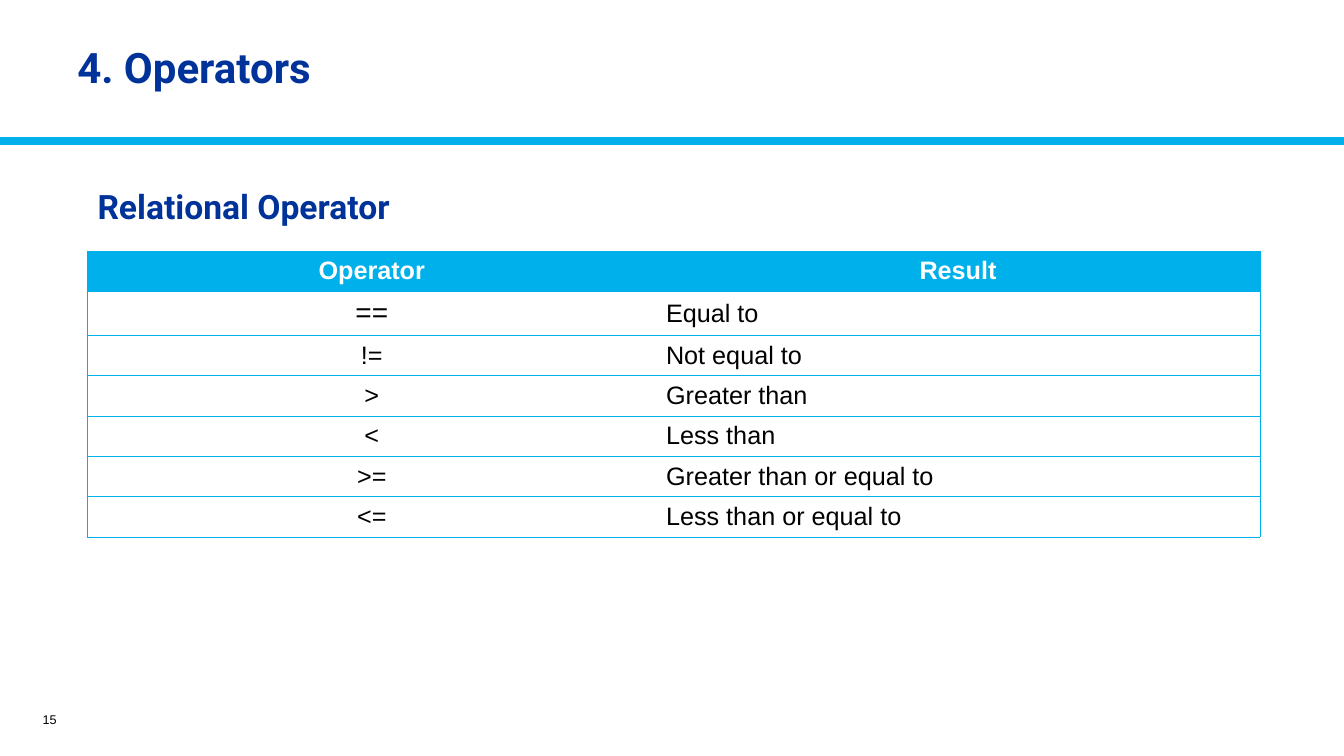
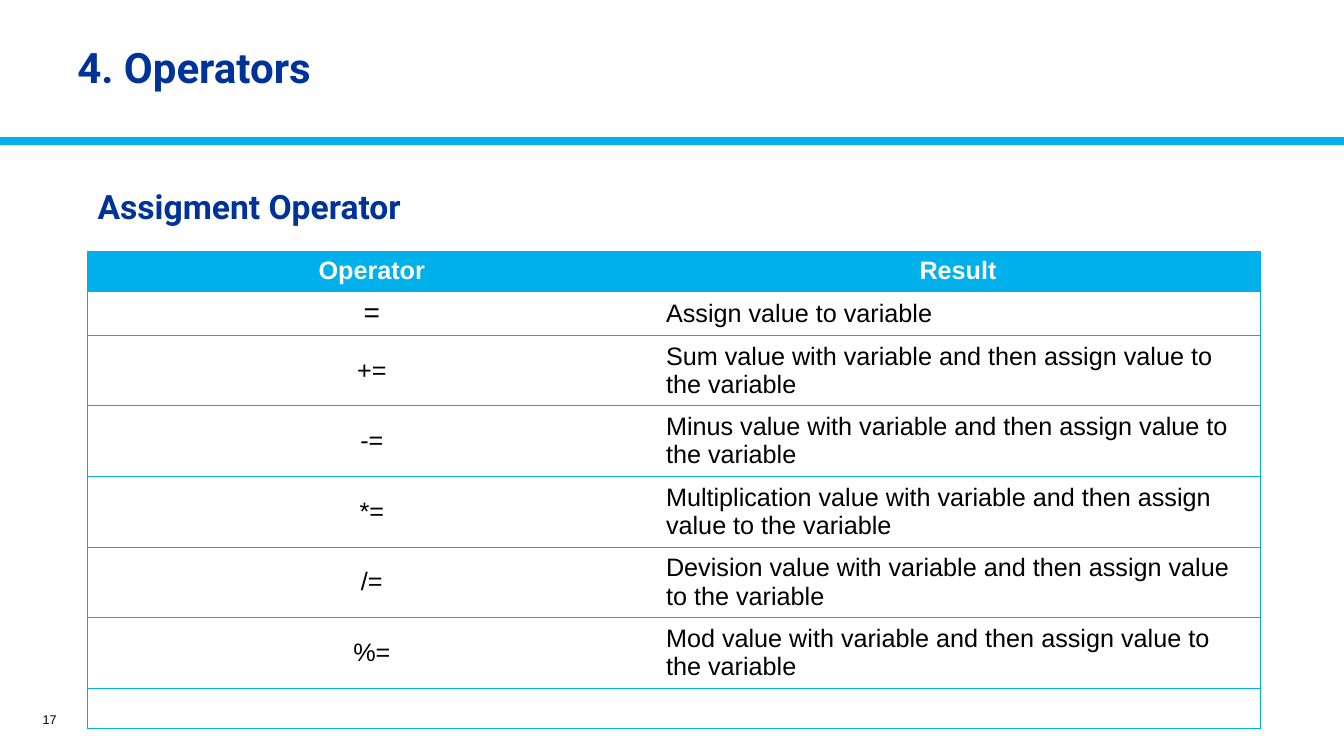
from dataclasses import dataclass

from lxml.etree import SubElement
from pptx import Presentation
from pptx.dml.color import RGBColor as RGB
from pptx.enum.shapes import MSO_CONNECTOR
from pptx.enum.text import MSO_ANCHOR, PP_ALIGN
from pptx.oxml.ns import qn
from pptx.util import Pt


@dataclass(frozen=True)
class Theme:
    navy: RGB = RGB(0x00, 0x33, 0x99)
    cyan: RGB = RGB(0x00, 0xB0, 0xEA)
    white: RGB = RGB(0xFF, 0xFF, 0xFF)
    black: RGB = RGB(0x00, 0x00, 0x00)
    heading_font: str = "Roboto"
    body_font: str = "Arial"
    title: float = 30
    subtitle: float = 24
    symbol: float = 20
    body: float = 18
    number: float = 9
    band: float = 6
    border: float = 0.5


@dataclass(frozen=True)
class Operator:
    symbol: str
    result: str


@dataclass(frozen=True)
class OperatorSlide:
    number: int
    subtitle: str
    operators: list[Operator]


THEME = Theme()
SLIDE_W, SLIDE_H = 960, 540
TABLE_LEFT, TABLE_TOP = 62.6, 179.3
COLUMNS = (406, 431.5)
ROW_H, SYMBOL_ROW_H, WRAPPED_ROW_H = 27.5, 29.7, 47.5
WRAP_CHARS = 50
NO_STYLE_ID = "{2D5ABB26-0587-4C30-8999-92F81FD0307C}"

SLIDES = [
    OperatorSlide(15, "Relational Operator", [
        Operator("==", "Equal to"),
        Operator("!=", "Not equal to"),
        Operator(">", "Greater than"),
        Operator("<", "Less than"),
        Operator(">=", "Greater than or equal to"),
        Operator("<=", "Less than or equal to"),
    ]),
    OperatorSlide(17, "Assigment Operator", [
        Operator("=", "Assign value to variable"),
        Operator("+=", "Sum value with variable and then assign value to the variable"),
        Operator("-=", "Minus value with variable and then assign value to the variable"),
        Operator("*=", "Multiplication value with variable and then assign value to the variable"),
        Operator("/=", "Devision value with variable and then assign value to the variable"),
        Operator("%=", "Mod value with variable and then assign value to the variable"),
        Operator("", ""),
    ]),
]


def write(tf, text: str, size: float, color: RGB, font: str = THEME.body_font,
          bold: bool = False, align=PP_ALIGN.LEFT) -> None:
    p = tf.paragraphs[0]
    p.alignment = align
    if not text:
        # An empty cell keeps the height of a line of body text
        end = SubElement(p._p, qn("a:endParaRPr"), sz=str(int(size * 100)))
        SubElement(end, qn("a:latin"), typeface=font)
        return
    r = p.add_run()
    r.text = text
    r.font.name, r.font.size, r.font.bold = font, Pt(size), bold
    r.font.color.rgb = color


def add_text(s, left: float, top: float, width: float, height: float,
             text: str, size: float, color: RGB, **style) -> None:
    tf = s.shapes.add_textbox(Pt(left), Pt(top), Pt(width), Pt(height)).text_frame
    tf.word_wrap = True
    tf.vertical_anchor = MSO_ANCHOR.MIDDLE
    write(tf, text, size, color, **style)


def add_frame(s, number: int) -> None:
    # Title
    title = s.shapes.title
    title.left, title.top, title.width, title.height = Pt(48), Pt(8), Pt(866), Pt(80)
    title.text_frame.vertical_anchor = MSO_ANCHOR.MIDDLE
    write(title.text_frame, "4. Operators", THEME.title, THEME.navy,
          font=THEME.heading_font, bold=True)

    # Band under the title
    band = s.shapes.add_connector(MSO_CONNECTOR.STRAIGHT, 0, Pt(100.8), Pt(SLIDE_W), Pt(100.8))
    band.line.color.rgb = THEME.cyan
    band.line.width = Pt(THEME.band)
    SubElement(band._element.spPr, qn("a:effectLst"))

    # Slide number
    add_text(s, 6.5, 503.3, 41, 21.6, str(number), THEME.number, THEME.black,
             align=PP_ALIGN.RIGHT)


def set_borders(cell, sides: str) -> None:
    tc_pr = cell._tc.get_or_add_tcPr()
    for side in sides:
        ln = SubElement(tc_pr, qn(f"a:ln{side}"), w=str(Pt(THEME.border)))
        fill = SubElement(ln, qn("a:solidFill"))
        SubElement(fill, qn("a:srgbClr"), val=str(THEME.cyan))


def row_height(index: int, op: Operator) -> float:
    if len(op.result) > WRAP_CHARS:
        return WRAPPED_ROW_H
    return SYMBOL_ROW_H if index == 1 else ROW_H


def add_operator_table(s, operators: list[Operator]) -> None:
    rows = [Operator("Operator", "Result"), *operators]
    heights = [row_height(i, op) for i, op in enumerate(rows)]
    table = s.shapes.add_table(len(rows), len(COLUMNS), Pt(TABLE_LEFT), Pt(TABLE_TOP),
                               Pt(sum(COLUMNS)), Pt(sum(heights))).table
    table.horz_banding = False
    table._tbl.tblPr.find(qn("a:tableStyleId")).text = NO_STYLE_ID
    for column, width in zip(table.columns, COLUMNS):
        column.width = Pt(width)

    for i, (op, height) in enumerate(zip(rows, heights)):
        table.rows[i].height = Pt(height)
        header = i == 0
        for j, text in enumerate((op.symbol, op.result)):
            cell = table.cell(i, j)
            cell.vertical_anchor = MSO_ANCHOR.MIDDLE
            set_borders(cell, "LTB" if j == 0 else "RTB")
            if header:
                cell.fill.solid()
                cell.fill.fore_color.rgb = THEME.cyan
            else:
                cell.fill.background()
            write(cell.text_frame, text,
                  THEME.symbol if (i, j) == (1, 0) else THEME.body,
                  THEME.white if header else THEME.black, bold=header,
                  align=PP_ALIGN.CENTER if header or j == 0 else PP_ALIGN.LEFT)


def main() -> None:
    prs = Presentation()
    prs.slide_width, prs.slide_height = Pt(SLIDE_W), Pt(SLIDE_H)
    title_only = prs.slide_layouts[5]
    for content in SLIDES:
        s = prs.slides.add_slide(title_only)
        add_frame(s, content.number)
        add_text(s, TABLE_LEFT, 127, 649.4, 40, content.subtitle, THEME.subtitle,
                 THEME.navy, font=THEME.heading_font, bold=True)
        add_operator_table(s, content.operators)
    prs.save("out.pptx")


if __name__ == "__main__":
    main()
